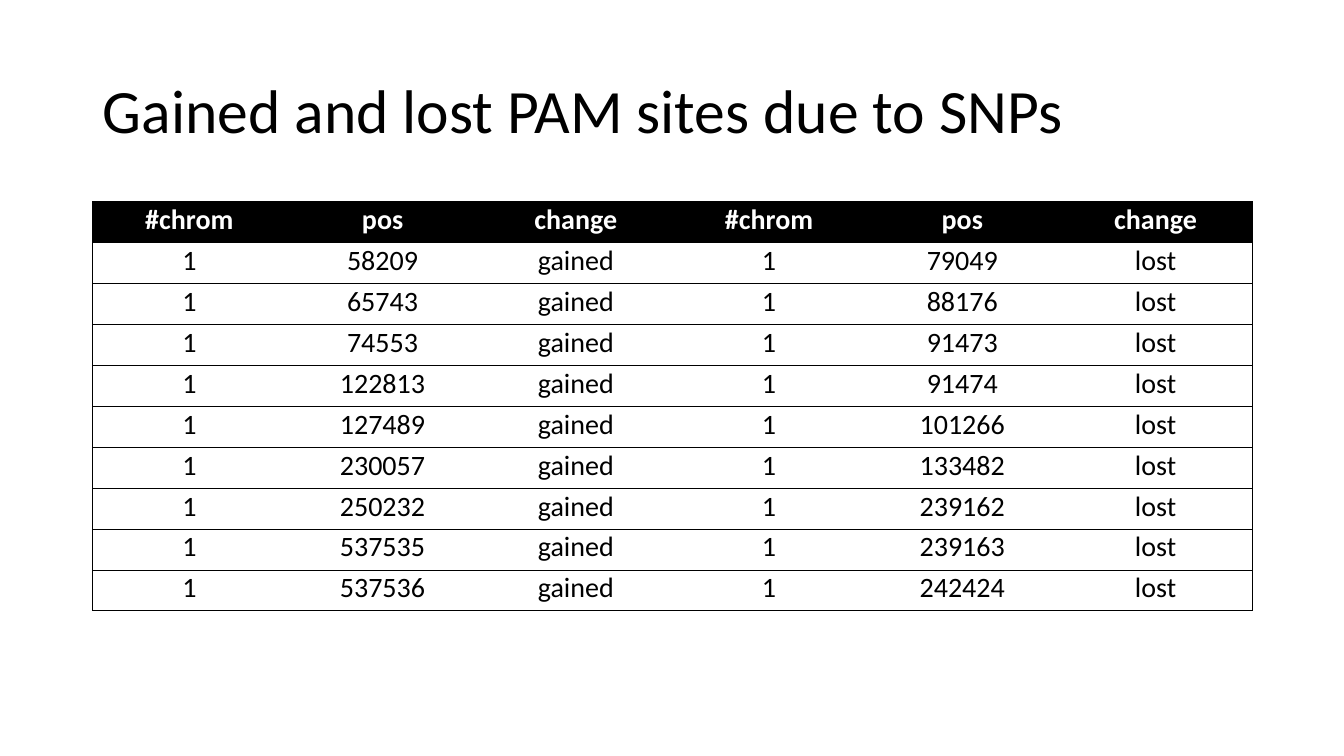
from dataclasses import dataclass

from lxml.etree import SubElement
from pptx import Presentation
from pptx.dml.color import RGBColor
from pptx.enum.text import MSO_ANCHOR as Anchor, MSO_AUTO_SIZE as AutoSize, PP_ALIGN as Align
from pptx.oxml.ns import qn
from pptx.util import Inches, Pt


@dataclass(frozen=True)
class Theme:
    """Colours, font and type sizes of the slide."""
    ink: str = "000000"
    paper: str = "FFFFFF"
    font: str = "Calibri"
    title_size: int = 44
    table_size: int = 20
    rule_width: float = 0.5


THEME = Theme()
TITLE_BOX = (0.92, 0.4, 11.5, 1.45)
TABLE_BOX = (0.92, 2, 11.5, 4.06)
HEADER = ("#chrom", "pos", "change")
GAINED = (58209, 65743, 74553, 122813, 127489, 230057, 250232, 537535, 537536)
LOST = (79049, 88176, 91473, 91474, 101266, 133482, 239162, 239163, 242424)


def add_run(p, text, size, color, bold=False):
    """Append a styled run to a paragraph."""
    r = p.add_run()
    r.text = text
    r.font.name = THEME.font
    r.font.size = Pt(size)
    r.font.bold = bold
    r.font.color.rgb = RGBColor.from_string(color)


def set_borders(cell, visible):
    """Rule the sides named in visible (from L, R, T, B) and clear the others."""
    tcPr = cell._tc.get_or_add_tcPr()
    for side in "LRTB":
        ln = SubElement(tcPr, qn(f"a:ln{side}"), w=str(Pt(THEME.rule_width)))
        if side in visible:
            fill = SubElement(ln, qn("a:solidFill"))
            SubElement(fill, qn("a:srgbClr"), val=THEME.ink)
        else:
            SubElement(ln, qn("a:noFill"))


def fill_cell(cell, text, is_header, borders):
    """Write and format one table cell."""
    set_borders(cell, borders)
    if is_header:
        cell.fill.solid()
        cell.fill.fore_color.rgb = RGBColor.from_string(THEME.ink)
    else:
        cell.fill.background()
    cell.vertical_anchor = Anchor.MIDDLE
    cell.margin_left = cell.margin_right = cell.margin_top = Inches(0.01)
    cell.margin_bottom = Inches(0.05)
    p = cell.text_frame.paragraphs[0]
    p.alignment = Align.CENTER
    add_run(p, text, THEME.table_size, THEME.paper if is_header else THEME.ink, is_header)


def place_title(s, box, text):
    """Place and format the title placeholder in box."""
    sp = s.shapes.title
    sp.left, sp.top, sp.width, sp.height = map(Inches, box)
    tf = sp.text_frame
    tf.word_wrap = True
    tf.auto_size = AutoSize.NONE
    tf.vertical_anchor = Anchor.MIDDLE
    p = tf.paragraphs[0]
    p.alignment = Align.LEFT
    p.line_spacing = 0.9
    add_run(p, text, THEME.title_size, THEME.ink)


def add_sites_table(s, box, rows):
    """Draw the table of PAM sites in box with equal rows and columns."""
    left, top, width, height = box
    n_cols = len(rows[0])
    table = s.shapes.add_table(len(rows), n_cols, *map(Inches, box)).table
    table.horz_banding = False
    for col in table.columns:
        col.width = Inches(width / n_cols)
    for i, values in enumerate(rows):
        table.rows[i].height = Inches(height / len(rows))
        for j, value in enumerate(values):
            borders = "TB" + "L" * (j == 0) + "R" * (j == n_cols - 1)
            fill_cell(table.cell(i, j), str(value), i == 0, borders)


def build_sites_slide(prs):
    """Add the slide listing gained and lost PAM sites."""
    s = prs.slides.add_slide(prs.slide_layouts[5])
    place_title(s, TITLE_BOX, "Gained and lost PAM sites due to SNPs")
    sites = [(1, gained, "gained", 1, lost, "lost") for gained, lost in zip(GAINED, LOST)]
    add_sites_table(s, TABLE_BOX, [HEADER * 2, *sites])


prs = Presentation()
prs.slide_width, prs.slide_height = Inches(13.33), Inches(7.5)
build_sites_slide(prs)
prs.save("out.pptx")
